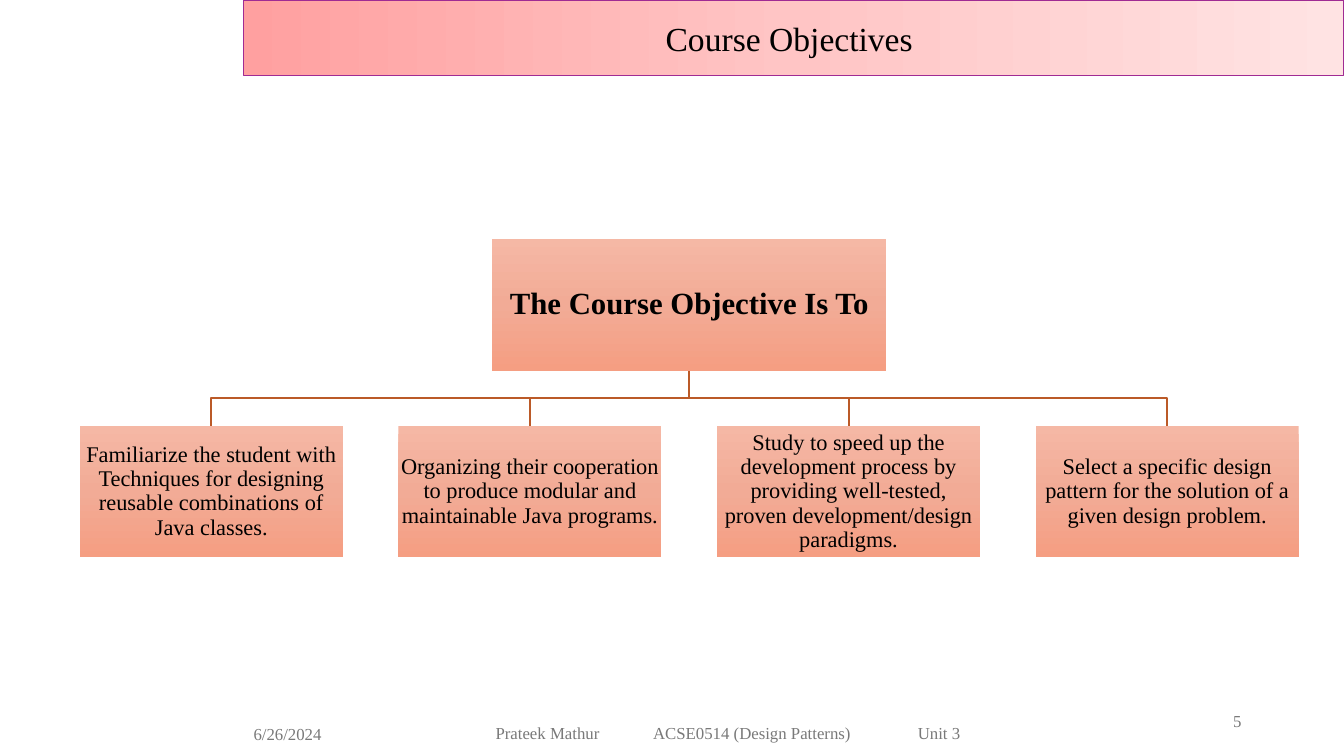
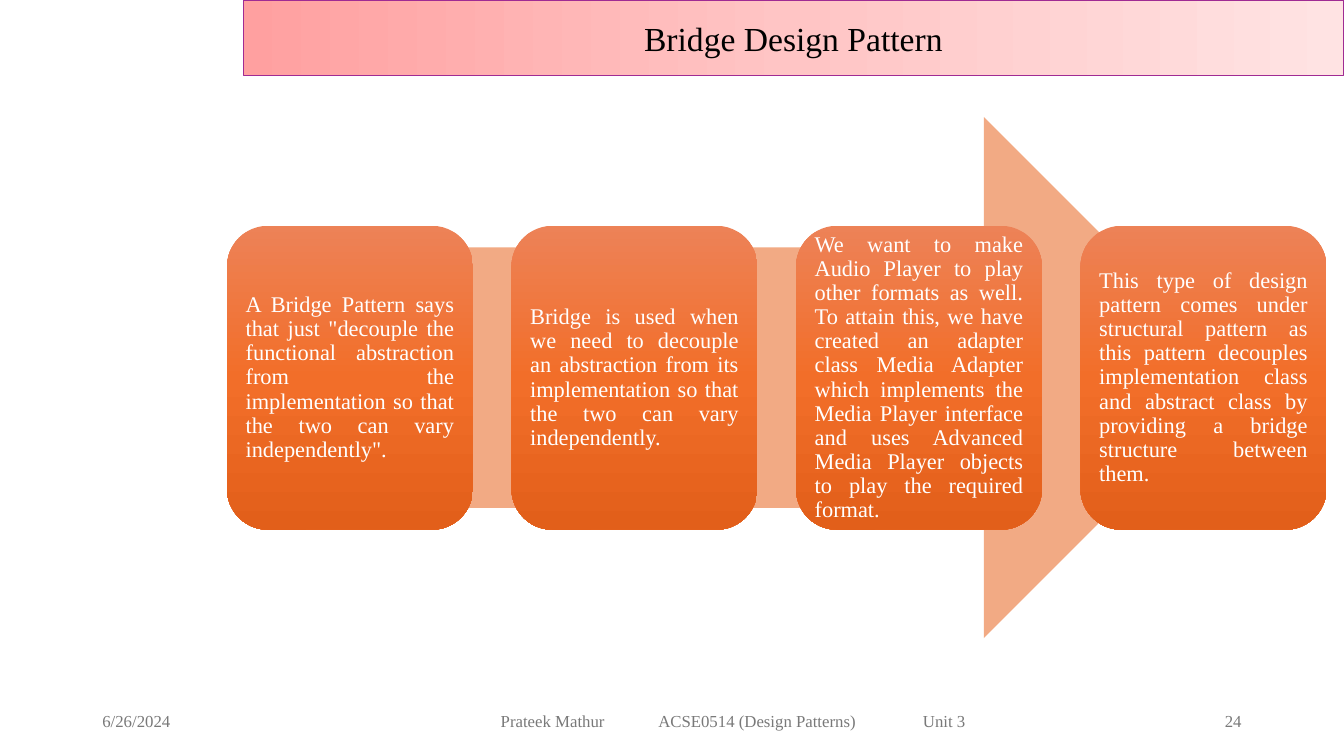
from copy import deepcopy

from lxml.etree import SubElement
from pptx import Presentation
from pptx.dml.color import RGBColor
from pptx.enum.shapes import MSO_SHAPE
from pptx.enum.text import MSO_ANCHOR, PP_ALIGN
from pptx.oxml.ns import qn
from pptx.util import Cm, Pt

HUES = {
    "black": "000000", "white": "FFFFFF", "grey": "797979",
    "purple": "A02B93", "rust": "BB5A28", "peach": "F2AA84",
}
FADES = {
    "pink": ("FFA0A0", "FFC5C5", "FFE3E3"),
    "salmon": ("F5B8A5", "F2AB96", "F59E82"),
    "orange": ("ED8257", "F26E29", "E25F1A"),
}
FONT = "Times New Roman"
LOOKS = {
    "title": {"name": FONT, "size": Pt(24), "bold": False},
    "root": {"name": FONT, "size": Pt(22), "bold": True},
    "body": {"name": FONT, "size": Pt(16), "bold": False},
    "foot": {"name": FONT, "size": Pt(12), "bold": False},
}
COLOUR = {name: RGBColor.from_string(code) for name, code in HUES.items()}


def shade(shape, fade, angle):
    """Fill a shape with an even three-colour gradient."""
    fill = shape.fill
    fill.gradient()
    fill.gradient_angle = angle
    first = shape._element.spPr.find(".//" + qn("a:gs"))
    first.addnext(deepcopy(first))
    for n, (stop, code) in enumerate(zip(fill.gradient_stops, FADES[fade])):
        stop.position = n / 2
        stop.color.rgb = RGBColor.from_string(code)


def write(shape, text, look, hue, align, inset=None, lines=None):
    """Set the single paragraph of a shape, anchored in the middle."""
    frame = shape.text_frame
    frame.word_wrap = True
    frame.vertical_anchor = MSO_ANCHOR.MIDDLE
    if inset is not None:
        for side in ("left", "top", "right", "bottom"):
            setattr(frame, "margin_" + side, Cm(inset))
    para = frame.paragraphs[0]
    para.alignment = align
    para.line_spacing = lines
    run = para.add_run()
    run.text = text
    for key, value in LOOKS[look].items():
        setattr(run.font, key, value)
    run.font.color.rgb = COLOUR[hue]


deck = Presentation()
deck.slide_width, deck.slide_height = Cm(33.87), Cm(19.05)

# Title, page number, then left and top of the date, the course and the number
PAGES = [
    ("Course Objectives ", "5", (6.14, 17.98), (12.24, 17.96), (23.92, 17.65)),
    ("Bridge Design Pattern", "24", (2.33, 17.65), (12.37, 17.65), (23.92, 17.65)),
]
COURSE = "Prateek Mathur\tACSE0514 (Design Patterns)\tUnit 3"
TABS = (3.97, 10.64)

slides = []
for title, page, *spots in PAGES:
    slide = deck.slides.add_slide(deck.slide_layouts[5])
    slides.append(slide)
    band = slide.shapes.title
    band.left, band.top, band.width, band.height = Cm(6.13), Cm(0), Cm(27.73), Cm(1.9)
    shade(band, "pink", 0)
    band.line.color.rgb = COLOUR["purple"]
    band.line.width = Pt(1)
    write(band, title, "title", "black", PP_ALIGN.CENTER)

    notes = [
        ("6/26/2024", 5.92, PP_ALIGN.LEFT),
        (COURSE, 13.5, PP_ALIGN.LEFT),
        (page, 7.62, PP_ALIGN.RIGHT),
    ]
    for (left, top), (text, width, align) in zip(spots, notes):
        foot = slide.shapes.add_textbox(Cm(left), Cm(top), Cm(width), Cm(1.02))
        if text == COURSE:
            props = foot.text_frame.paragraphs[0]._p.get_or_add_pPr()
            stops = SubElement(props, qn("a:tabLst"))
            for stop in TABS:
                SubElement(stops, qn("a:tab"), pos=str(Cm(stop)), algn="l")
        write(foot, text, "foot", "grey", align)

goals, bridge = slides

# Objectives tree
AIMS = [
    "Familiarize the student with Techniques for designing reusable combinations of Java classes.",
    "Organizing their cooperation to produce modular and maintainable Java programs.",
    "Study to speed up the development process by providing well-tested, proven "
    "development/design paradigms.",
    "Select a specific design pattern for the solution of a given design problem.",
]
LEFT, STEP, WIDE, HIGH = 2.01, 8.03, 6.63, 3.32
ROOT_TOP, ROOT_WIDE, LEAF_TOP = 6.02, 9.94, 10.73
axes = [LEFT + n * STEP + WIDE / 2 for n in range(len(AIMS))]
mid = (axes[0] + axes[-1]) / 2
base = ROOT_TOP + HIGH
fork = (base + LEAF_TOP) / 2

for x in reversed(axes):
    pen = goals.shapes.build_freeform(Cm(mid), Cm(base))
    bends = [(mid, fork), (x, fork), (x, LEAF_TOP)]
    pen.add_line_segments([(Cm(a), Cm(b)) for a, b in bends], close=False)
    elbow = pen.convert_to_shape()
    elbow.shadow.inherit = False
    elbow.fill.background()
    elbow.line.color.rgb = COLOUR["rust"]
    elbow.line.width = Pt(1.5)

nodes = [("The Course Objective Is To", mid, ROOT_TOP, ROOT_WIDE, "root", 0.05)]
nodes += [(aim, x, LEAF_TOP, WIDE, "body", 0.03) for aim, x in zip(AIMS, axes)]
for text, x, top, width, look, inset in nodes:
    node = goals.shapes.add_shape(
        MSO_SHAPE.RECTANGLE, Cm(x - width / 2), Cm(top), Cm(width), Cm(HIGH))
    node.shadow.inherit = False
    node.line.fill.background()
    shade(node, "salmon", 270)
    write(node, text, look, "black", PP_ALIGN.CENTER, inset, 0.9)

# Bridge steps on an arrow
STEPS = [
    'A Bridge Pattern says that just "decouple the functional abstraction from the '
    'implementation so that the two can vary independently".',
    "Bridge is used when we need to decouple an abstraction from its implementation "
    "so that the two can vary independently. ",
    "We want to make Audio Player to play other formats as well. To attain this, we have "
    "created an adapter class Media Adapter which implements the Media Player interface "
    "and uses Advanced Media Player objects to play the required format.",
    "This type of design pattern comes under structural pattern as this pattern decouples "
    "implementation class and abstract class by providing a bridge structure between them.",
]
arrow = bridge.shapes.add_shape(
    MSO_SHAPE.RIGHT_ARROW, Cm(7.79), Cm(2.95), Cm(23.57), Cm(13.13))
arrow.shadow.inherit = False
arrow.fill.solid()
arrow.fill.fore_color.rgb = COLOUR["peach"]
arrow.line.fill.background()

for n, text in enumerate(STEPS):
    card = bridge.shapes.add_shape(
        MSO_SHAPE.ROUNDED_RECTANGLE, Cm(5.72 + n * 7.17), Cm(5.69), Cm(6.2), Cm(7.66))
    card.shadow.inherit = False
    card.line.fill.background()
    shade(card, "orange", 270)
    write(card, text, "body", "white", PP_ALIGN.JUSTIFY, 0.17, 0.9)

deck.save("out.pptx")
